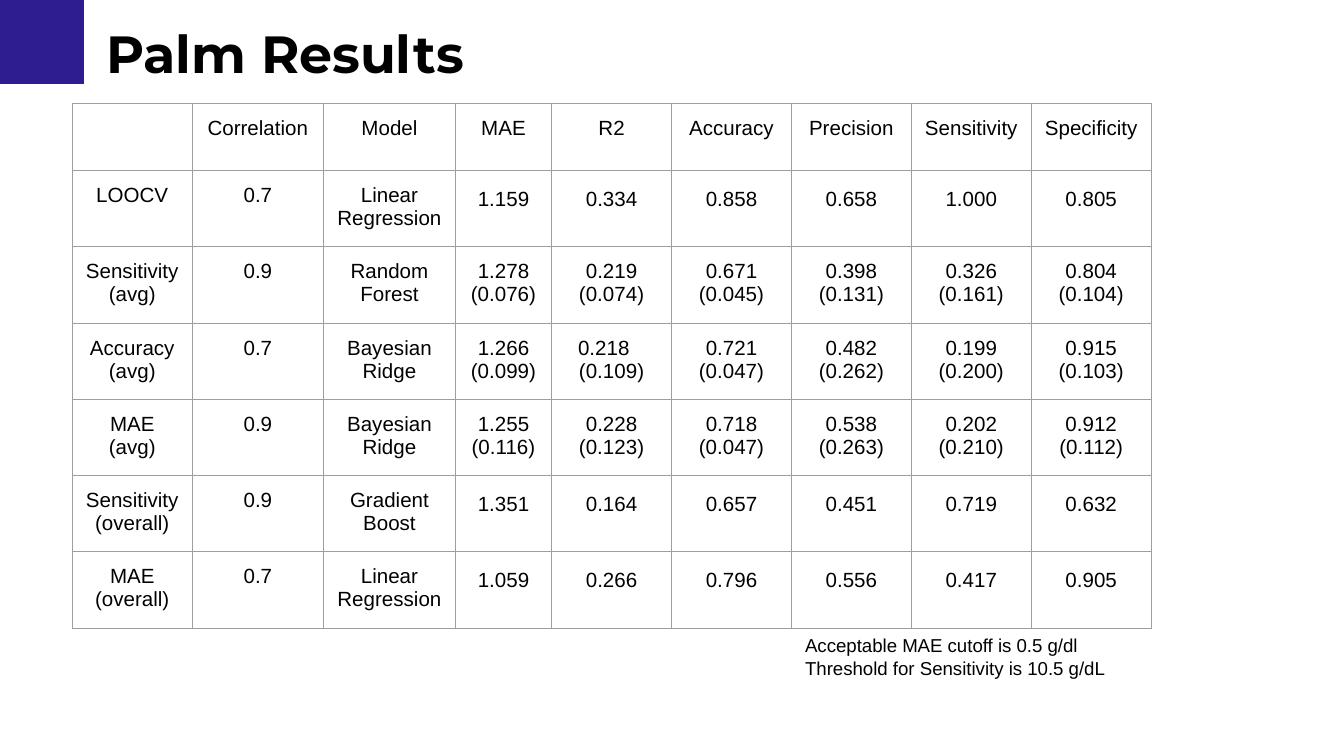
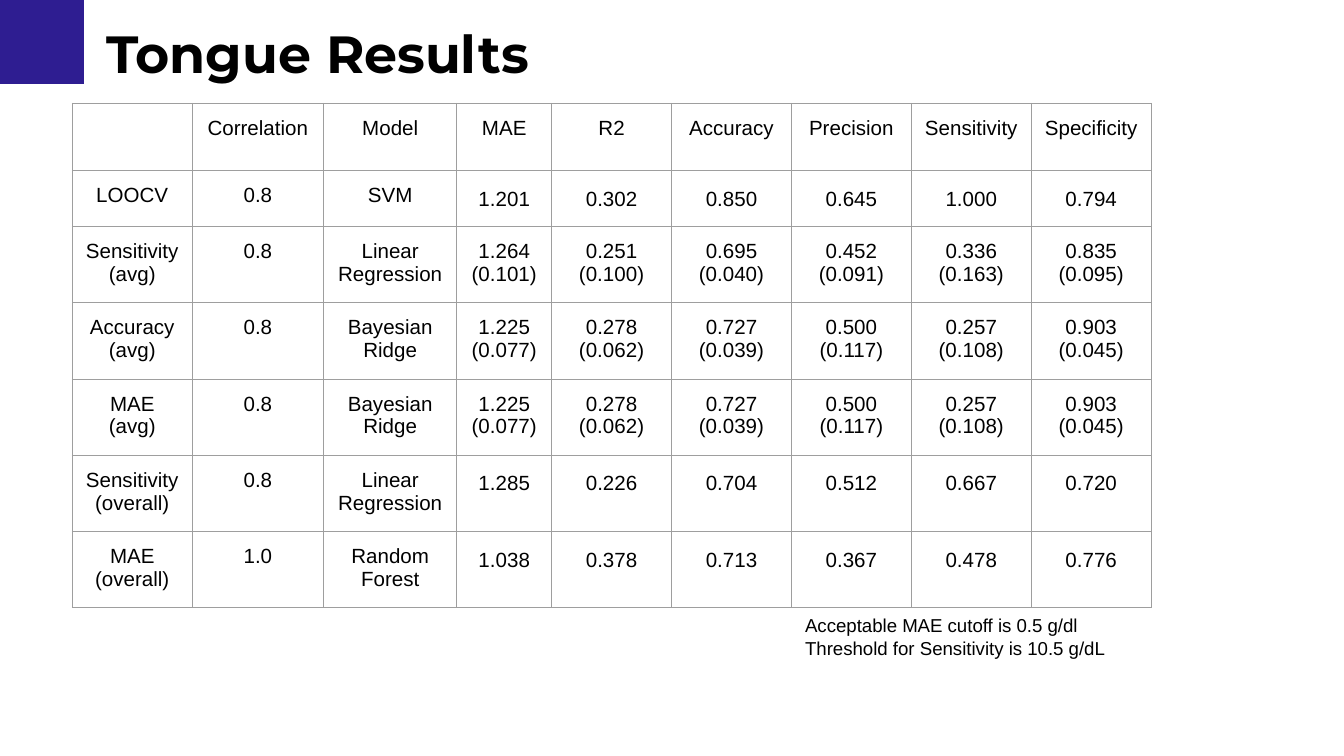
from dataclasses import dataclass

from lxml import etree
from pptx import Presentation
from pptx import util as u
from pptx.dml.color import RGBColor
from pptx.enum import shapes, text
from pptx.oxml import ns

Pt = u.Pt


@dataclass(frozen=True)
class Theme:
    ink: str = "000000"
    band: str = "2E1D91"
    rule: str = "9E9E9E"
    head: str = "Montserrat"
    body: str = "Arial"
    title: float = 28
    cell: float = 11
    note: float = 10
    line: float = 0.75
    inset: float = 7.2
    lead: float = 1.15


@dataclass(frozen=True)
class Box:
    left: float
    top: float
    width: float
    height: float

    def args(self) -> tuple:
        return tuple(Pt(v) for v in (self.left, self.top, self.width, self.height))


@dataclass(frozen=True)
class Result:
    title: str
    model: float  # width of the Model column
    mae: float  # width of the MAE column
    note: float  # top of the note
    rows: str


LOOK = Theme()
BAND = Box(0, 0, 45, 45)
TITLE = Box(49.7, 4.3, 607.7, 48.2)
GRID = Box(38.75, 55.4, 578, 210)
NARROW, WIDE, ROW = 64.25, 70.4, 30
METRIC = 3  # first metric column
HEADS = "|Correlation|Model|MAE|R2|Accuracy|Precision|Sensitivity|Specificity"
NOTE = ("Acceptable MAE cutoff is 0.5 g/dl", "Threshold for Sensitivity is 10.5 g/dL")

RESULTS = (
    Result("Palm Results", 70.6, 51.6, 332.6, """\
LOOCV|0.7|Linear Regression|1.159|0.334|0.858|0.658|1.000|0.805
Sensitivity (avg)|0.9|Random Forest|1.278 (0.076)|0.219 (0.074)|0.671 (0.045)|0.398 (0.131)|0.326 (0.161)|0.804 (0.104)
Accuracy (avg)|0.7|Bayesian Ridge|1.266 (0.099)|0.218\t(0.109)|0.721 (0.047)|0.482 (0.262)|0.199 (0.200)|0.915 (0.103)
MAE (avg)|0.9|Bayesian Ridge|1.255 (0.116)|0.228 (0.123)|0.718 (0.047)|0.538 (0.263)|0.202 (0.210)|0.912 (0.112)
Sensitivity (overall)|0.9|Gradient Boost|1.351|0.164|0.657|0.451|0.719|0.632
MAE (overall)|0.7|Linear Regression|1.059|0.266|0.796|0.556|0.417|0.905"""),
    Result("Tongue Results", 71.4, 50.8, 321.8, """\
LOOCV|0.8|SVM|1.201|0.302|0.850|0.645|1.000|0.794
Sensitivity (avg)|0.8|Linear Regression|1.264 (0.101)|0.251 (0.100)|0.695 (0.040)|0.452 (0.091)|0.336 (0.163)|0.835 (0.095)
Accuracy (avg)|0.8|Bayesian Ridge|1.225 (0.077)|0.278 (0.062)|0.727 (0.039)|0.500 (0.117)|0.257 (0.108)|0.903 (0.045)
MAE (avg)|0.8|Bayesian Ridge|1.225 (0.077)|0.278 (0.062)|0.727 (0.039)|0.500 (0.117)|0.257 (0.108)|0.903 (0.045)
Sensitivity (overall)|0.8|Linear Regression|1.285|0.226|0.704|0.512|0.667|0.720
MAE (overall)|1.0|Random Forest|1.038|0.378|0.713|0.367|0.478|0.776"""),
)


def style(para, size: float, face: str, align, bold: bool = False) -> None:
    """Format a whole paragraph."""
    para.alignment = align
    font = para.font
    font.size, font.name, font.bold = Pt(size), face, bold
    font.color.rgb = RGBColor.from_string(LOOK.ink)


def pad(item) -> None:
    """Give a text frame or a cell equal margins."""
    item.margin_left = item.margin_right = Pt(LOOK.inset)
    item.margin_top = item.margin_bottom = Pt(LOOK.inset)


def fit(frame) -> None:
    """Top-anchored, wrapping text in a shape that grows."""
    pad(frame)
    frame.word_wrap = True
    frame.vertical_anchor = text.MSO_ANCHOR.TOP
    frame.auto_size = text.MSO_AUTO_SIZE.SHAPE_TO_FIT_TEXT


def border(cell) -> None:
    """Rule all four sides of a cell."""
    props = cell._tc.get_or_add_tcPr()
    for i, side in enumerate(("lnL", "lnR", "lnT", "lnB")):
        line = etree.Element(ns.qn(f"a:{side}"), w=str(Pt(LOOK.line)))
        fill = etree.SubElement(line, ns.qn("a:solidFill"))
        etree.SubElement(fill, ns.qn("a:srgbClr"), val=LOOK.rule)
        props.insert(i, line)


def add_band(slide, layout) -> None:
    """Draw the corner square and move it to the shared layout."""
    band = slide.shapes.add_shape(shapes.MSO_SHAPE.RECTANGLE, *BAND.args())
    band.shadow.inherit = False
    band.fill.solid()
    band.fill.fore_color.rgb = RGBColor.from_string(LOOK.band)
    band.line.fill.background()
    band.element.nvSpPr.cNvPr.id = 99
    layout.shapes.element.insert(2, band.element)


def add_title(slide, words: str) -> None:
    title = slide.shapes.title
    title.left, title.top, title.width, title.height = TITLE.args()
    frame = title.text_frame
    frame.text = words
    fit(frame)
    style(frame.paragraphs[0], LOOK.title, LOOK.head, text.PP_ALIGN.LEFT, True)


def fill_cell(cell, words: str, metric: bool) -> None:
    pad(cell)
    cell.fill.background()
    border(cell)
    if not words:
        return
    # A metric and its deviation stand on two lines
    parts = words.split(" ") if metric else [words]
    cell.text = "\n".join(parts)
    for para in cell.text_frame.paragraphs:
        style(para, LOOK.cell, LOOK.body, text.PP_ALIGN.CENTER)
        if metric and "(" not in words:
            para.line_spacing = LOOK.lead


def add_grid(slide, result: Result) -> None:
    rows = [line.split("|") for line in (HEADS, *result.rows.splitlines())]
    count = len(rows[0])
    table = slide.shapes.add_table(len(rows), count, *GRID.args()).table
    table.first_row = table.horz_banding = False
    widths = [NARROW, WIDE, result.model, result.mae]
    widths += [NARROW] * (count - len(widths))
    for column, width in zip(table.columns, widths):
        column.width = Pt(width)
    for r, row in enumerate(rows):
        table.rows[r].height = Pt(ROW)
        for c, words in enumerate(row):
            fill_cell(table.cell(r, c), words, r > 0 and c >= METRIC)


def add_note(slide, top: float) -> None:
    frame = slide.shapes.add_textbox(*Box(424.2, top, 193.7, 38.9).args()).text_frame
    frame.text = "\n".join(NOTE)
    fit(frame)
    for para in frame.paragraphs:
        style(para, LOOK.note, LOOK.body, text.PP_ALIGN.LEFT)


def main() -> None:
    deck = Presentation()
    deck.slide_width, deck.slide_height = Pt(720), Pt(405)
    layout = deck.slide_layouts[5]  # Title Only
    for i, result in enumerate(RESULTS):
        slide = deck.slides.add_slide(layout)
        if i == 0:
            add_band(slide, layout)
        add_title(slide, result.title)
        add_grid(slide, result)
        add_note(slide, result.note)
    deck.save("out.pptx")


if __name__ == "__main__":
    main()
